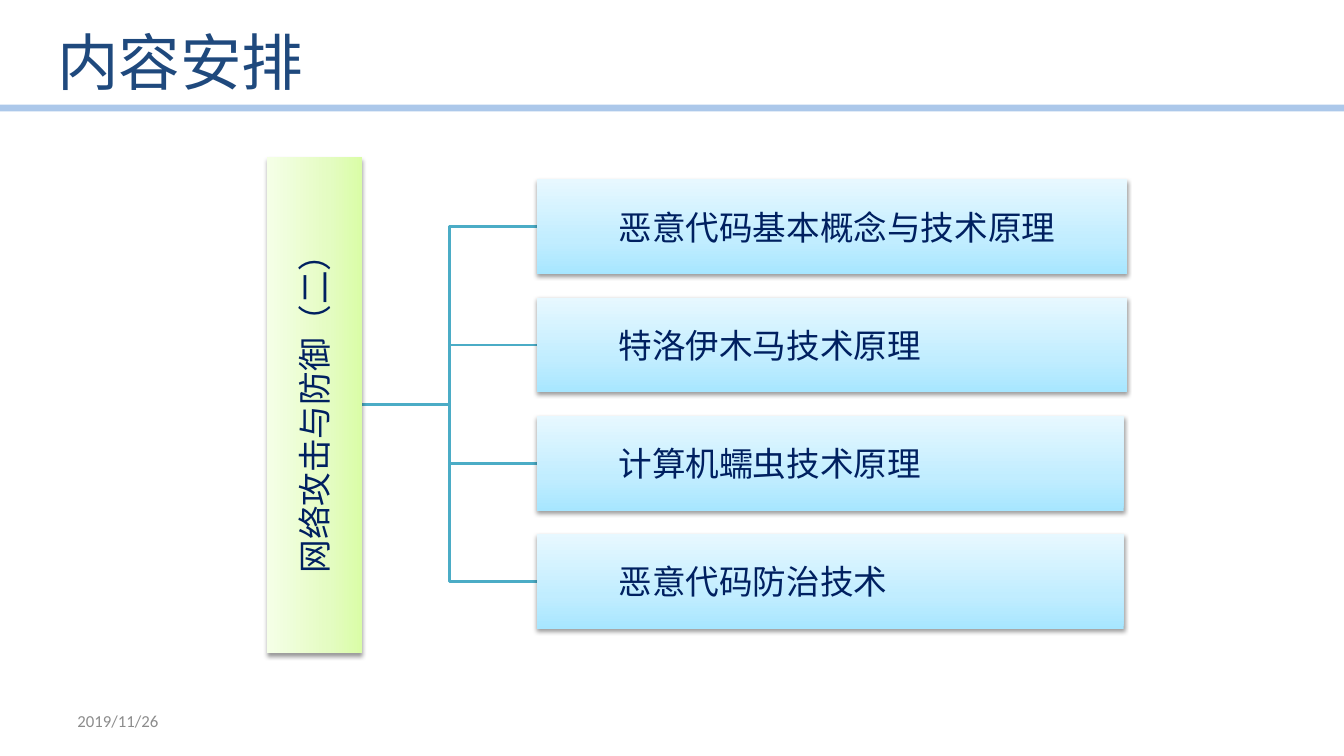
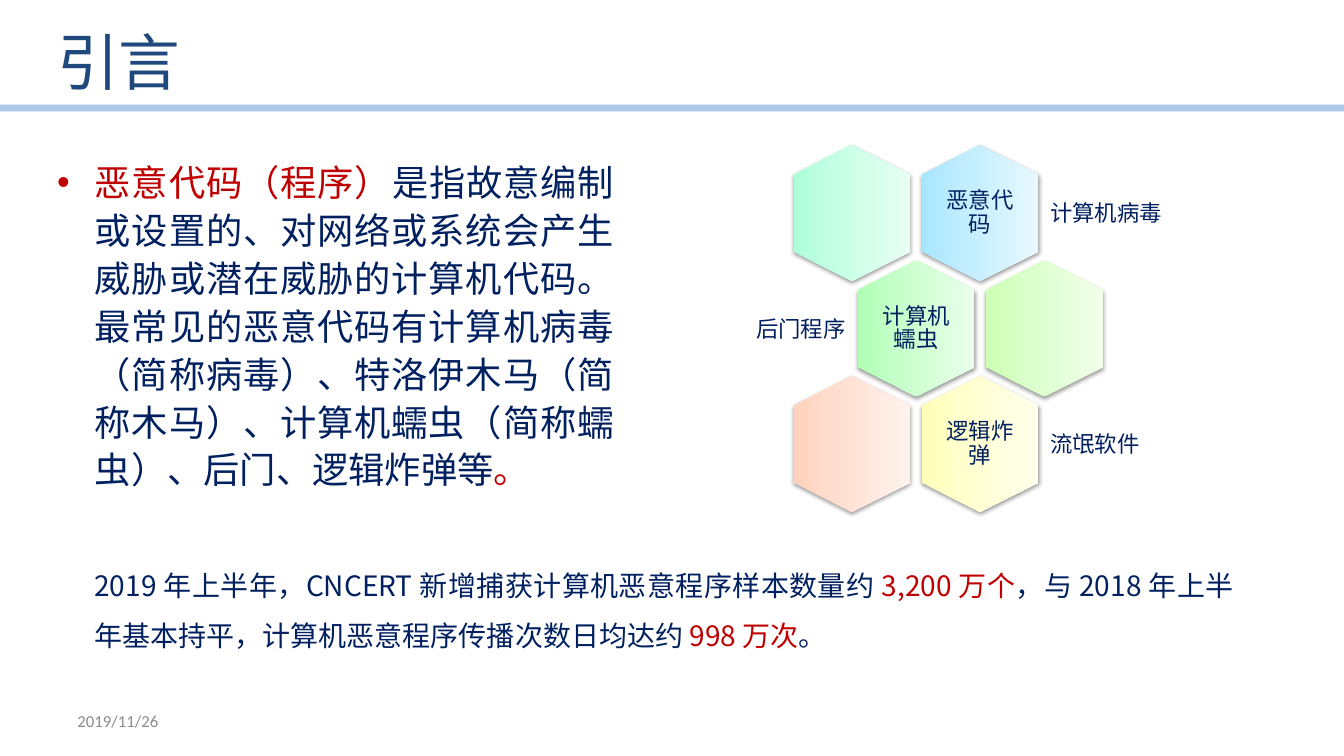
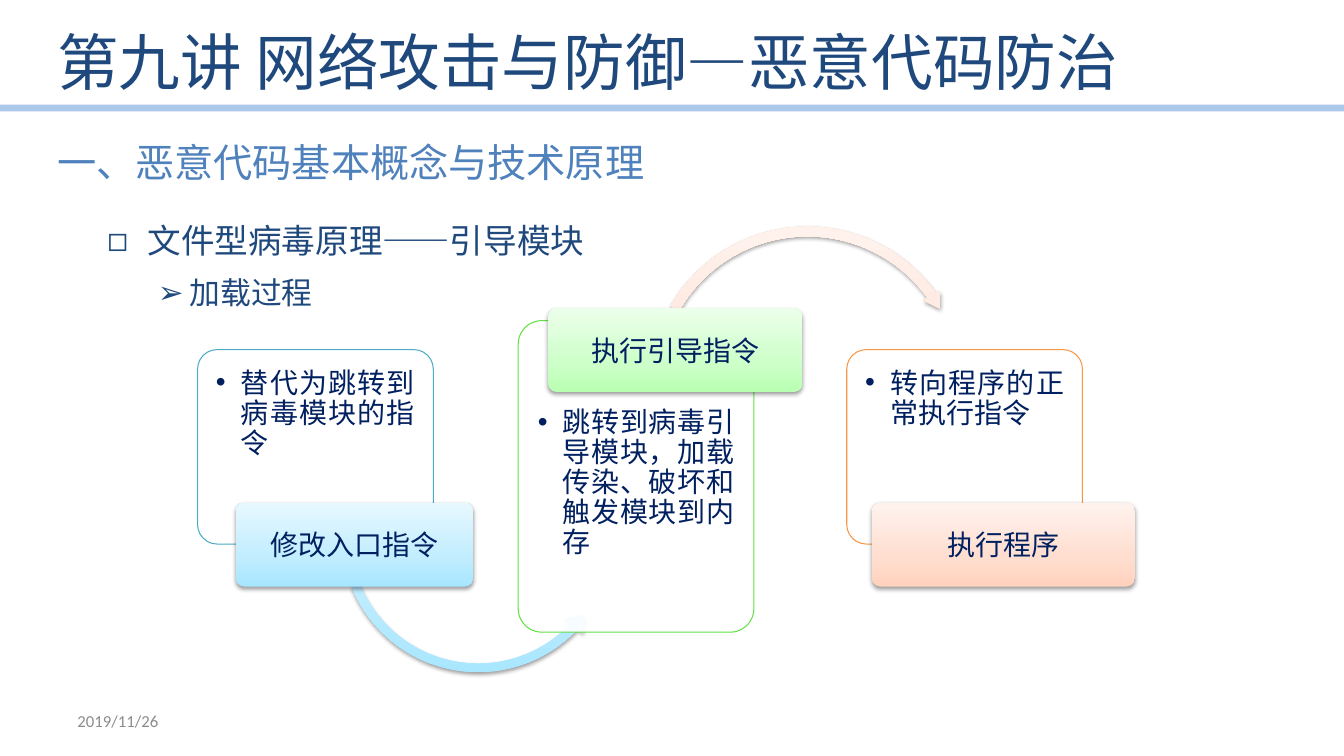
"""Build three slides on malicious code and its prevention."""
from lxml.etree import SubElement
from pptx import Presentation
from pptx.dml.color import RGBColor
from pptx.enum.shapes import MSO_CONNECTOR, MSO_SHAPE
from pptx.enum.text import MSO_ANCHOR, PP_ALIGN
from pptx.oxml.ns import qn
from pptx.util import Cm, Pt

FACE = "Noto Sans CJK SC"
WIDE, HIGH = 33.87, 19.05
HUES = {
    "title": "1F497D", "navy": "002060", "red": "C00000", "head": "4F81BD",
    "date": "8C8C8C", "rule": "8EB4E3", "white": "FFFFFF", "black": "000000",
    "teal": "4BACC6", "leaf": "60E146", "rust": "F79646",
}
FADES = {
    "lime": ("DAFDA7", "E4FCC2", "F5FFE7"),
    "sky": ("A7E6FF", "C1EDFF", "E7F8FF"),
    "mint": ("ACFFD9", "C4FFE4", "E8FFF4"),
    "green": ("B0FFB4", "C7FFCA", "EAFFEB"),
    "grass": ("CCFFB4", "DAFFCA", "F1FFEB"),
    "lemon": ("FFFFB9", "FFFFCD", "FFFFEC"),
    "peach": ("FFD2BD", "FFDED0", "FFF2ED"),
    "fern": ("B9FFB2", "CDFFC9", "ECFFEA"),
}


def rgb(hue):
    return RGBColor.from_string(HUES[hue])


def add(node, tag, **attrs):
    return SubElement(node, qn(tag), attrs)


def props(shape):
    return shape.element.find(qn("p:spPr"))


def alpha(shape, share):
    tint = next(props(shape).iter(qn("a:srgbClr")))
    add(tint, "a:alpha", val=str(share * 1000))


def shade(shape, name):
    shape.fill.gradient()
    shape.fill.gradient_angle = 90
    stops = next(props(shape).iter(qn("a:gsLst")))
    for stop in list(stops):
        stops.remove(stop)
    for pos, tint in zip((0, 35, 100), FADES[name]):
        stop = add(stops, "a:gs", pos=str(pos * 1000))
        add(stop, "a:srgbClr", val=tint)


def block(slide, kind, at, fade, turn=0, adjust=()):
    shape = slide.shapes.add_shape(kind, *map(Cm, at))
    shape.rotation = turn
    for i, value in enumerate(adjust):
        shape.adjustments[i] = value
    shade(shape, fade)
    shape.line.fill.background()
    shape.shadow.inherit = False
    glow = add(props(shape).find(qn("a:effectLst")), "a:outerShdw",
               blurRad="40000", dist="20000", dir="5400000", rotWithShape="0")
    add(add(glow, "a:srgbClr", val=HUES["black"]), "a:alpha", val="38000")
    return shape


def frame(shape, pad=(0.25, 0.13), anchor=MSO_ANCHOR.MIDDLE):
    body = shape.text_frame
    body.word_wrap = True
    body.vertical_anchor = anchor
    body.margin_left = body.margin_right = Cm(pad[0])
    body.margin_top = body.margin_bottom = Cm(pad[1])
    return body


def label(slide, at, **look):
    return frame(slide.shapes.add_textbox(*map(Cm, at)), **look)


def write(para, parts, size, hue="navy", align=PP_ALIGN.LEFT, lead=1.19,
          mark=None, indent=None, face=FACE):
    for part in [parts] if isinstance(parts, str) else parts:
        text, tint = (part, None) if isinstance(part, str) else part
        run = para.add_run()
        run.text = text
        if tint:
            run.font.color.rgb = rgb(tint)
    para.alignment = align
    para.line_spacing = Pt(round(size * lead, 1))
    style = para._p.get_or_add_pPr()
    if indent:
        style.set("marL", str(Cm(indent[0])))
        style.set("indent", str(Cm(indent[1])))
    if mark:
        add(style, "a:buFont", typeface="Arial")
        add(style, "a:buChar", char=mark)
    para.font.size = Pt(size)
    para.font.color.rgb = rgb(hue)
    para.font.name = face
    add(style.find(qn("a:defRPr")), "a:ea", typeface=face)


def start(deck, title):
    slide = deck.slides.add_slide(deck.slide_layouts[6])
    rule = slide.shapes.add_connector(
        MSO_CONNECTOR.STRAIGHT, 0, Cm(2.72), Cm(WIDE), Cm(2.72))
    rule.line.color.rgb = rgb("rule")
    rule.line.width = Pt(4.75)
    alpha(rule, 73)
    add(props(rule), "a:effectLst")
    head = label(slide, (1.19, 0.23, 28, 2.46))
    write(head.paragraphs[0], title, 44, "title", lead=1.3)
    date = label(slide, (1.7, 17.65, 7.9, 1.02))
    write(date.paragraphs[0], "2019/11/26", 12, "date", face="Calibri")
    return slide


def branch(slide, left, mid, right, top, end):
    path = slide.shapes.build_freeform(Cm(left), Cm(top))
    path.add_line_segments(
        [(Cm(x), Cm(y)) for x, y in ((mid, top), (mid, end), (right, end))],
        close=False)
    shape = path.convert_to_shape()
    shape.fill.background()
    shape.line.color.rgb = rgb("teal")
    shape.line.width = Pt(2)
    shape.shadow.inherit = False


def agenda(deck):
    slide = start(deck, "内容安排")
    rows = (("恶意代码基本概念与技术原理", 14.86), ("特洛伊木马技术原理", 14.86),
            ("计算机蠕虫技术原理", 14.78), ("恶意代码防治技术", 14.78))
    left, top, step, tall = 13.54, 4.52, 2.98, 2.39
    for i in range(len(rows)):
        branch(slide, 9.12, 11.33, left, 10.2, top + step * i + tall / 2)
    root = block(slide, MSO_SHAPE.RECTANGLE, (1.68, 9.02, 12.5, tall),
                 "lime", 270)
    write(frame(root, (0.05, 0.05)).paragraphs[0], "网络攻击与防御（二）", 24,
          align=PP_ALIGN.CENTER)
    for i, (text, wide) in enumerate(rows):
        row = block(slide, MSO_SHAPE.RECTANGLE,
                    (left, top + step * i, wide, tall), "sky")
        write(frame(row, (0.05, 0.05)).paragraphs[0], text, 24, indent=(0, 2))


def hive(slide):
    cells = ((1, 0, "sky", "恶意代码"), (0, 0, "mint", ""),
             (0, 1, "green", "计算机蠕虫"), (1, 1, "grass", ""),
             (1, 2, "lemon", "逻辑炸弹"), (0, 2, "peach", ""))
    notes = ((26.29, 0, "计算机病毒", PP_ALIGN.LEFT),
             (17.65, 1, "后门程序", PP_ALIGN.RIGHT),
             (26.29, 2, "流氓软件", PP_ALIGN.LEFT))
    top, step, pad = 5.37, 2.91, (0.18, 0.18)
    for col, row, fade, text in cells:
        x, y = 21.47 + 3.23 * col + 1.62 * (row % 2), top + step * row
        block(slide, MSO_SHAPE.HEXAGON, (x - 1.71, y - 1.48, 3.42, 2.96),
              fade, 90, (0.25, 1.15))
        if text:
            body = label(slide, (x - 1.05, y - 1.18, 2.1, 2.36), pad=pad)
            write(body.paragraphs[0], text, 16, align=PP_ALIGN.CENTER,
                  lead=1.07)
    for x, row, text, align in notes:
        body = label(slide, (x, top + step * row - 1.03, 3.84, 2.06), pad=pad)
        write(body.paragraphs[0], text, 16, align=align)


def intro(deck):
    slide = start(deck, "引言")
    body = label(slide, (1.19, 3.8, 14.53, 8.79), anchor=MSO_ANCHOR.TOP)
    write(body.paragraphs[0], [
        "恶意代码（程序）",
        ("是指故意编制或设置的、对网络或系统会产生威胁或潜在威胁的计算机代码。"
         "最常见的恶意代码有计算机病毒（简称病毒）、特洛伊木马（简称木马）、"
         "计算机蠕虫（简称蠕虫）、后门、逻辑炸弹等", "navy"),
        "。"], 25.9, "red", PP_ALIGN.JUSTIFY, 1.32, "•", (0.95, -0.95))
    hive(slide)
    stat = label(slide, (2.13, 13.78, 29.21, 2.82), anchor=MSO_ANCHOR.TOP)
    write(stat.paragraphs[0], [
        "2019 年上半年，CNCERT 新增捕获计算机恶意程序样本数量约 ",
        ("3,200 万个", "red"),
        "，与 2018 年上半年基本持平，计算机恶意程序传播次数日均达约 ",
        ("998 万次", "red"), "。"], 20, align=PP_ALIGN.JUSTIFY, lead=1.78)


def panel(slide, at, hue, text, drop):
    shape = slide.shapes.add_shape(MSO_SHAPE.ROUNDED_RECTANGLE, *map(Cm, at))
    shape.adjustments[0] = 0.1
    shape.fill.solid()
    shape.fill.fore_color.rgb = rgb("white")
    alpha(shape, 90)
    shape.line.color.rgb = rgb(hue)
    shape.line.width = Pt(0.75)
    shape.shadow.inherit = False
    body = frame(shape, (0.32, 0.34), MSO_ANCHOR.TOP)
    body.margin_top = Cm(drop)
    write(body.paragraphs[0], text, 20, align=PP_ALIGN.JUSTIFY, lead=1.07,
          mark="•", indent=(0.63, -0.63))


def tag(slide, at, fade, text):
    shape = block(slide, MSO_SHAPE.ROUNDED_RECTANGLE, at, fade, adjust=(0.1,))
    write(frame(shape, (0.1, 0.08)).paragraphs[0], text, 20,
          align=PP_ALIGN.CENTER)


def load(deck):
    slide = start(deck, "第九讲 网络攻击与防御—恶意代码防治")
    body = label(slide, (1.19, 5.23, 31.19, 11.2), anchor=MSO_ANCHOR.TOP)
    write(body.paragraphs[0], "文件型病毒原理——引导模块", 24, "title",
          PP_ALIGN.JUSTIFY, 1.43, "◻", (2.28, -1.01))
    step = body.add_paragraph()
    step.space_before = Pt(4.4)
    write(step, "加载过程", 22, "title", PP_ALIGN.JUSTIFY, 1.43, "➢",
          (3.34, -0.8))
    head = label(slide, (1.19, 3.25, 16, 1.45), anchor=MSO_ANCHOR.TOP)
    write(head.paragraphs[0], "一、恶意代码基本概念与技术原理", 28, "head",
          lead=1.3)
    panel(slide, (4.98, 8.81, 5.94, 4.9), "teal",
          "替代为跳转到病毒模块的指令", 0.34)
    block(slide, MSO_SHAPE.LEFT_CIRCULAR_ARROW, (8.43, 9.88, 7.24, 7.24),
          "sky", adjust=(0.03, 4.04, 26.19, 94.64, 0.04))
    tag(slide, (5.94, 12.67, 5.99, 2.11), "sky", "修改入口指令")
    panel(slide, (13.06, 8.08, 5.94, 7.85), "leaf",
          "跳转到病毒引导模块，加载传染、破坏和触发模块到内存", 2.04)
    block(slide, MSO_SHAPE.CIRCULAR_ARROW, (16.26, 5.59, 8.18, 8.18),
          "peach", adjust=(0.03, 3.54, 194.7, 125.76, 0.03))
    tag(slide, (13.82, 7.77, 6.4, 2.11), "fern", "执行引导指令")
    panel(slide, (21.34, 8.81, 5.94, 4.9), "rust", "转向程序的正常执行指令", 0.34)
    tag(slide, (21.97, 12.67, 6.63, 2.11), "peach", "执行程序")


def main():
    deck = Presentation()
    deck.slide_width, deck.slide_height = Cm(WIDE), Cm(HIGH)
    agenda(deck)
    intro(deck)
    load(deck)
    deck.save("out.pptx")


if __name__ == "__main__":
    main()
